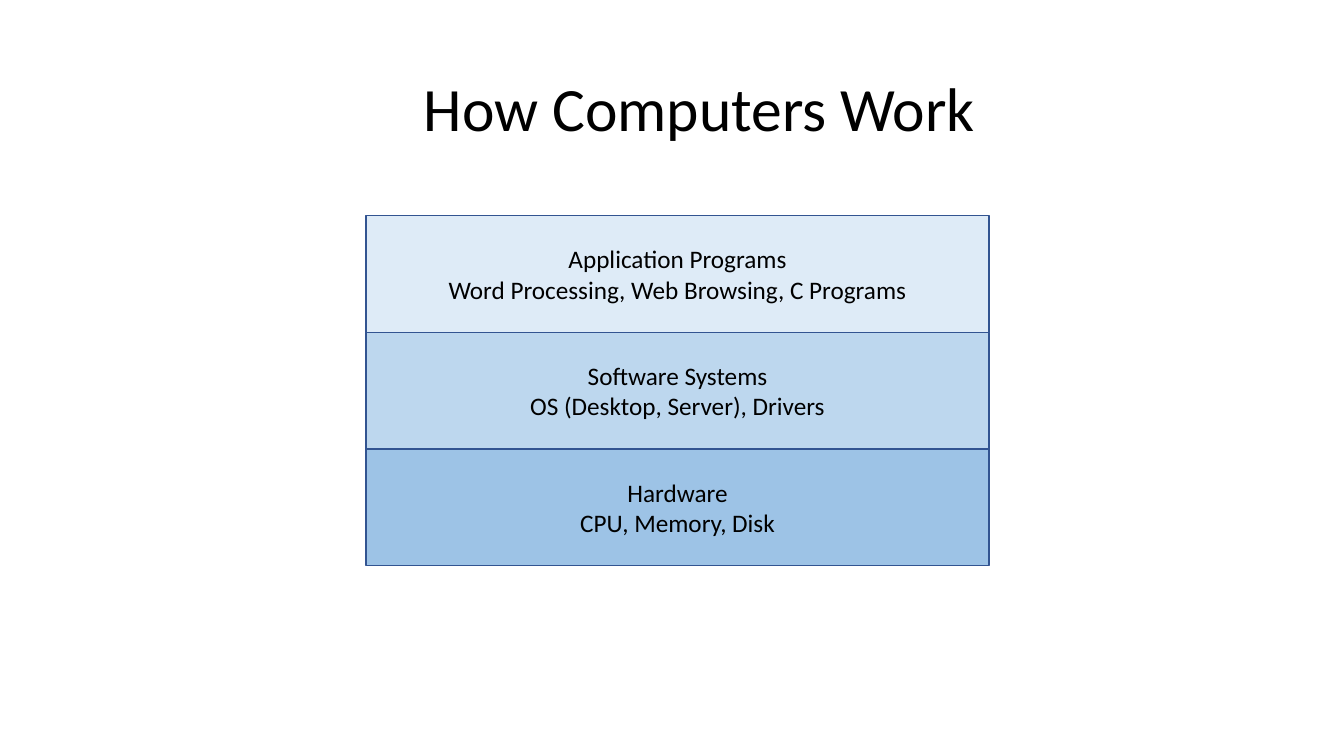
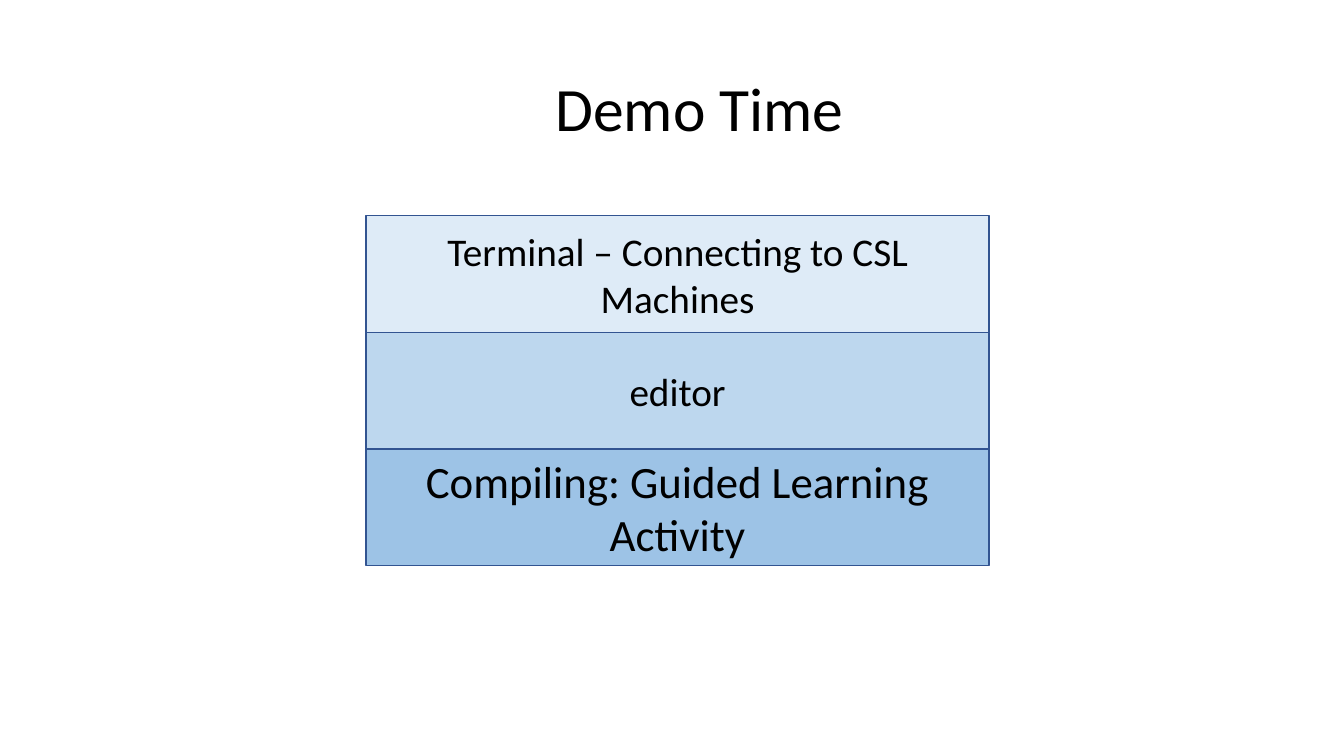
from dataclasses import dataclass

from pptx import Presentation
from pptx.dml.color import RGBColor
from pptx.enum.shapes import MSO_SHAPE
from pptx.enum.text import MSO_ANCHOR, MSO_AUTO_SIZE, PP_ALIGN
from pptx.presentation import Presentation as Deck
from pptx.slide import Slide
from pptx.text.text import TextFrame
from pptx.util import Inches, Pt

FONT = "Calibri"
TEXT_COLOR = "000000"
LINE_COLOR = "325491"
LAYER_COLORS = ("DEEBF7", "BDD7EE", "9DC3E6")
TITLE_SIZE = 44
STACK_LEFT, STACK_TOP, STACK_WIDTH, STACK_HEIGHT = 3.63, 2.14, 6.18, 3.47
LAYER_HEIGHT = STACK_HEIGHT / len(LAYER_COLORS)


@dataclass(frozen=True)
class Layer:
    lines: tuple[str, ...]
    size: int


@dataclass(frozen=True)
class StackPage:
    title: str
    layers: tuple[Layer, ...]


PAGES = (
    StackPage("How Computers Work", (
        Layer(("Application Programs", "Word Processing, Web Browsing, C Programs"), 18),
        Layer(("Software Systems", "OS (Desktop, Server), Drivers"), 18),
        Layer(("Hardware", "CPU, Memory, Disk"), 18),
    )),
    StackPage("Demo Time", (
        Layer(("Terminal – Connecting to CSL Machines",), 28),
        Layer(("editor",), 28),
        Layer(("Compiling: Guided Learning Activity",), 32),
    )),
)


def color(value: str) -> RGBColor:
    return RGBColor.from_string(value)


def write_lines(frame: TextFrame, lines: tuple[str, ...], size: int) -> None:
    frame.word_wrap = True
    frame.text = "\n".join(lines)
    for para in frame.paragraphs:
        para.alignment = PP_ALIGN.CENTER
        para.font.name = FONT
        para.font.size = Pt(size)
        para.font.color.rgb = color(TEXT_COLOR)


def add_title(page: Slide, title: str) -> None:
    box = page.shapes.add_textbox(Inches(2.07), Inches(0.64), Inches(9.74), Inches(0.84))
    write_lines(box.text_frame, (title,), TITLE_SIZE)
    box.text_frame.auto_size = MSO_AUTO_SIZE.SHAPE_TO_FIT_TEXT


def add_layer(page: Slide, layer: Layer, fill: str, top: float) -> None:
    box = page.shapes.add_shape(
        MSO_SHAPE.RECTANGLE,
        Inches(STACK_LEFT), Inches(top), Inches(STACK_WIDTH), Inches(LAYER_HEIGHT),
    )
    box.shadow.inherit = False
    box.fill.solid()
    box.fill.fore_color.rgb = color(fill)
    box.line.color.rgb = color(LINE_COLOR)
    box.line.width = Pt(1)
    box.text_frame.vertical_anchor = MSO_ANCHOR.MIDDLE
    write_lines(box.text_frame, layer.lines, layer.size)


def add_page(deck: Deck, content: StackPage) -> None:
    page = deck.slides.add_slide(deck.slide_layouts[6])
    add_title(page, content.title)
    for index, (layer, fill) in enumerate(zip(content.layers, LAYER_COLORS)):
        add_layer(page, layer, fill, STACK_TOP + index * LAYER_HEIGHT)


def main() -> None:
    deck = Presentation()
    deck.slide_width = Inches(13.33)
    deck.slide_height = Inches(7.5)
    for content in PAGES:
        add_page(deck, content)
    deck.save("out.pptx")


if __name__ == "__main__":
    main()
